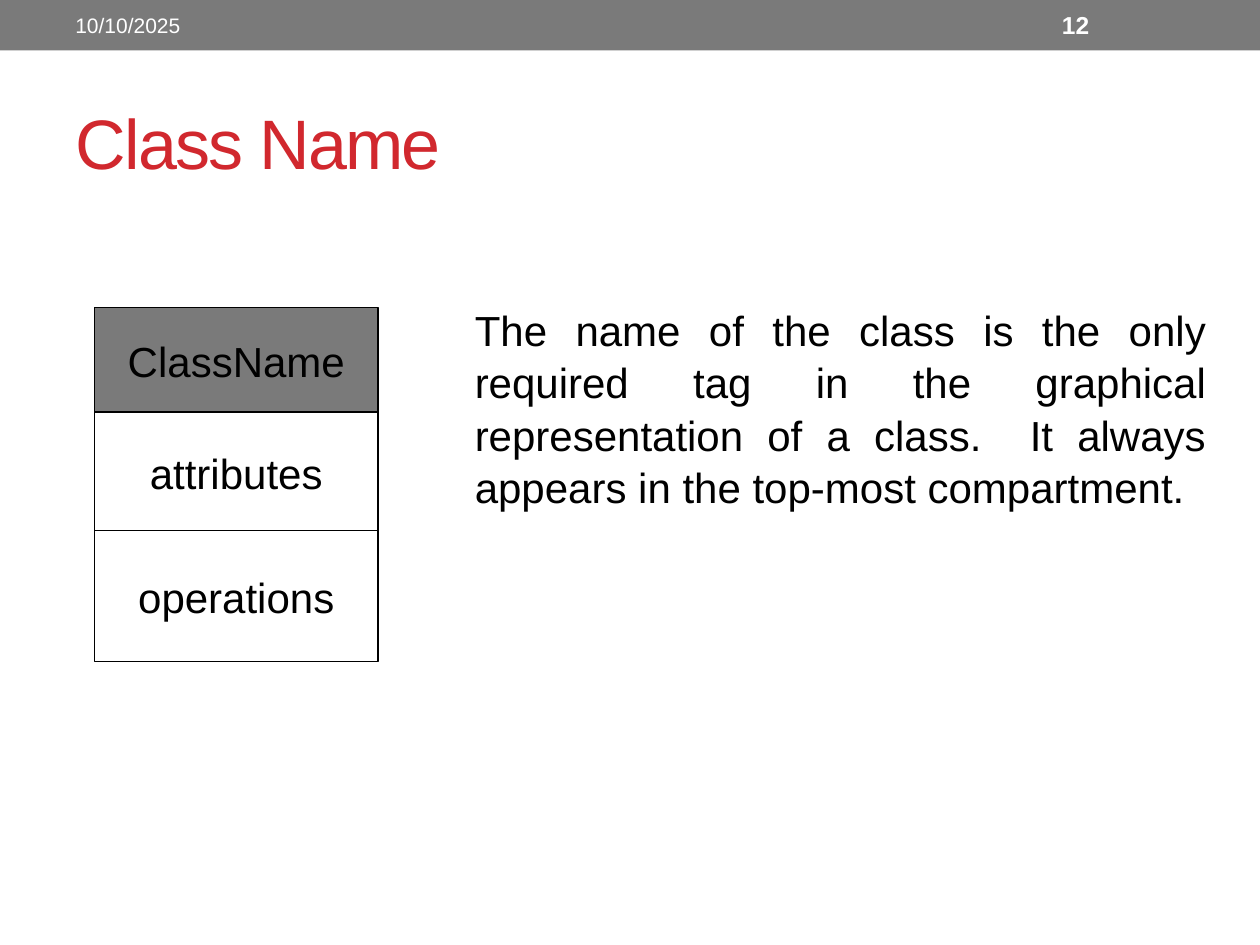
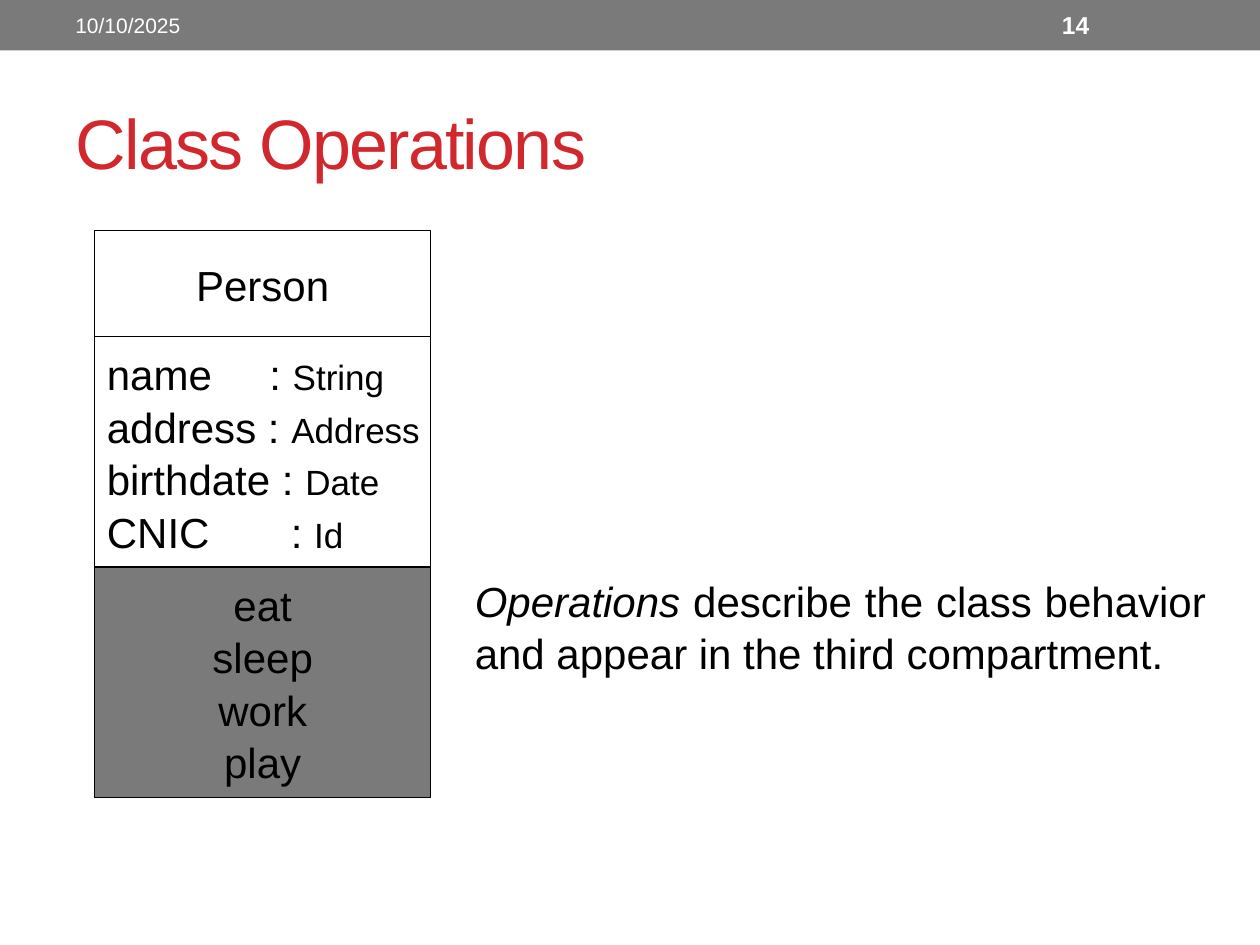
from dataclasses import dataclass

from lxml import etree
from pptx import Presentation
from pptx.dml.color import RGBColor
from pptx.enum.shapes import MSO_SHAPE
from pptx.enum.text import MSO_ANCHOR, MSO_AUTO_SIZE, PP_ALIGN
from pptx.oxml.ns import qn
from pptx.util import Inches, Pt

RECT = MSO_SHAPE.RECTANGLE
TOP, MIDDLE = MSO_ANCHOR.TOP, MSO_ANCHOR.MIDDLE
LEFT, CENTER, JUSTIFY = PP_ALIGN.LEFT, PP_ALIGN.CENTER, PP_ALIGN.JUSTIFY

FONT = "Arial"
COLORS = {"band": "7A7A7A", "title": "D1282E", "ink": "000000", "paper": "FFFFFF"}
DATE = "10/10/2025"
CLASS_LEFT = 0.75
LINE_SPACING = 1.04


@dataclass(frozen=True)
class Run:
    text: str
    size: float = 24
    italic: bool = False


@dataclass(frozen=True)
class Line:
    runs: tuple[Run, ...]
    tab: float | None = None


@dataclass(frozen=True)
class Compartment:
    lines: tuple[Line, ...]
    height: float
    align: PP_ALIGN = CENTER
    highlighted: bool = False


@dataclass(frozen=True)
class ClassSlide:
    title: str
    number: str
    class_top: float
    class_width: float
    compartments: tuple[Compartment, ...]
    note_top: float
    note_height: float
    note: tuple[Line, ...]


def lines(*texts: str, size: float = 24) -> tuple[Line, ...]:
    return tuple(Line((Run(text, size),)) for text in texts)


def attribute(name: str, kind: str, tab: float | None = None) -> Line:
    """Name and type of an attribute; a tab stop, if given, places the colon."""
    gap = "\t" if tab else " "
    return Line((Run(f"{name}{gap}: "), Run(kind, 20)), tab)


SLIDES = (
    ClassSlide(
        "Class Name", "12", 2.44, 2.25,
        (
            Compartment(lines("ClassName"), 0.83, highlighted=True),
            Compartment(lines("attributes"), 0.94),
            Compartment(lines("operations"), 1.04),
        ),
        2.35, 1.72,
        lines("The name of the class is the only required tag in the graphical "
              "representation of a class.  It always appears in the top-most "
              "compartment."),
    ),
    ClassSlide(
        "Class Operations", "14", 1.83, 2.67,
        (
            Compartment(lines("Person"), 0.84),
            Compartment(
                (
                    attribute("name", "String", 1.29),
                    attribute("address", "Address"),
                    attribute("birthdate", "Date"),
                    attribute("CNIC", "Id", 1.46),
                ),
                1.83, LEFT,
            ),
            Compartment(lines("eat", "sleep", "work", "play"), 1.83, highlighted=True),
        ),
        4.5, 0.91,
        (
            Line((Run("Operations ", italic=True), Run("describe the class behavior "))),
            *lines("and appear in the third compartment. "),
        ),
    ),
)


def rgb(name: str) -> RGBColor:
    return RGBColor.from_string(COLORS[name])


def box(left: float, top: float, width: float, height: float) -> tuple:
    return tuple(Inches(v) for v in (left, top, width, height))


def write(sp, content: tuple[Line, ...], *, color: str = "ink", bold: bool = False,
          align: PP_ALIGN = LEFT, anchor: MSO_ANCHOR = MIDDLE, wrap: bool = True,
          tracking: float = 0, spacing: float = 1) -> None:
    tf = sp.text_frame
    tf.auto_size = MSO_AUTO_SIZE.NONE
    tf.word_wrap = wrap
    tf.vertical_anchor = anchor
    for i, line in enumerate(content):
        p = tf.add_paragraph() if i else tf.paragraphs[0]
        p.alignment = align
        p.line_spacing = spacing
        if line.tab:
            tabs = etree.SubElement(p._p.get_or_add_pPr(), qn("a:tabLst"))
            etree.SubElement(tabs, qn("a:tab"), pos=str(Inches(line.tab)), algn="l")
        for run in line.runs:
            r = p.add_run()
            r.text = run.text
            font = r.font
            font.name, font.size = FONT, Pt(run.size)
            font.bold, font.italic = bold, run.italic
            font.color.rgb = rgb(color)
            if tracking:
                r._r.get_or_add_rPr().set("spc", str(round(tracking * 100)))


def add_rect(shapes, bounds: tuple, fill: str, line: str | None = None):
    sp = shapes.add_shape(RECT, *bounds)
    sp.shadow.inherit = False
    sp.fill.solid()
    sp.fill.fore_color.rgb = rgb(fill)
    if line:
        sp.line.color.rgb = rgb(line)
        sp.line.width = Pt(0.75)
    else:
        sp.line.fill.background()
    return sp


def add_frame(s, title: str, number: str) -> None:
    """Top band with date and slide number, and the title."""
    add_rect(s.shapes, box(0, 0, 10, 0.4), "band")
    sp = s.shapes.title
    sp.left, sp.top, sp.width, sp.height = box(0.5, 0.58, 9, 1.08)
    write(sp, lines(title, size=40), color="title", tracking=-1)
    date = s.shapes.add_textbox(*box(0.5, 0.02, 3.17, 0.36))
    write(date, lines(DATE, size=12), color="paper")
    page = s.shapes.add_textbox(*box(8.33, 0.02, 1.17, 0.36))
    write(page, lines(number, size=14), color="paper", bold=True)


def add_class(s, item: ClassSlide) -> None:
    """Class symbol: compartments stacked in one group."""
    group = s.shapes.add_group_shape()
    top = item.class_top
    for part in item.compartments:
        sp = add_rect(group.shapes, box(CLASS_LEFT, top, item.class_width, part.height),
                      "band" if part.highlighted else "paper", "ink")
        is_left = part.align == LEFT
        if is_left:
            sp.text_frame.margin_right = 0
        write(sp, part.lines, align=part.align, wrap=is_left, spacing=LINE_SPACING)
        top += part.height


def main() -> None:
    prs = Presentation()
    prs.slide_width, prs.slide_height = Inches(10), Inches(7.5)
    for item in SLIDES:
        s = prs.slides.add_slide(prs.slide_layouts[5])
        add_frame(s, item.title, item.number)
        add_class(s, item)
        note = s.shapes.add_textbox(*box(3.67, item.note_top, 6, item.note_height))
        write(note, item.note, align=JUSTIFY, anchor=TOP, spacing=LINE_SPACING)
    prs.save("out.pptx")


if __name__ == "__main__":
    main()
